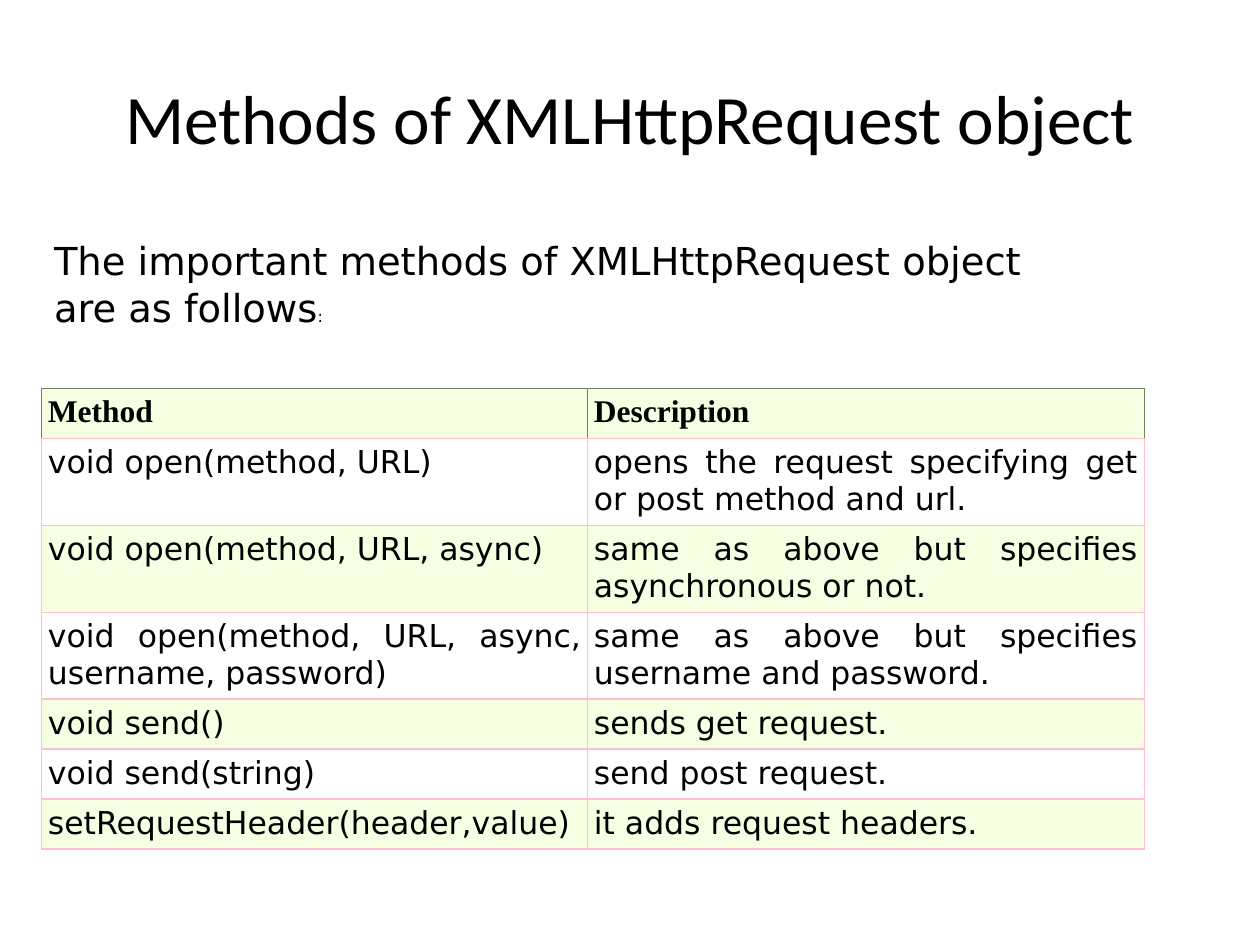
from lxml import etree
from pptx import Presentation
from pptx.dml.color import RGBColor
from pptx.enum.text import MSO_ANCHOR, PP_ALIGN
from pptx.oxml.ns import qn
from pptx.util import Pt

MIDDLE = MSO_ANCHOR.MIDDLE
LEFT, CENTER, JUSTIFY = PP_ALIGN.LEFT, PP_ALIGN.CENTER, PP_ALIGN.JUSTIFY
BLACK, WHITE, LIME, PINK, GREEN = "000000", "FFFFFF", "F6FFE1", "FFC0CB", "708459"
SANS, SERIF = "DejaVu Sans", "Times New Roman"

ROWS = [
    ("Method", "Description"),
    ("void open(method, URL)", "opens the request specifying get or post method and url."),
    ("void open(method, URL, async)", "same as above but specifies asynchronous or not."),
    ("void open(method, URL, async, username, password)",
     "same as above but specifies username and password."),
    ("void send()", "sends get request."),
    ("void send(string)", "send post request."),
    ("setRequestHeader(header,value)", "it adds request headers."),
]
COLS = [312, 318]
SHORT, TALL = 28.6, 49.7
HEIGHTS = [SHORT] + [TALL] * 3 + [SHORT] * 3


def color(code):
    return RGBColor.from_string(code)


def style(para, font, size, align, bold=False):
    para.alignment = align
    for run in para.runs:
        run.font.name = font
        run.font.size = Pt(size)
        run.font.bold = bold
        run.font.color.rgb = color(BLACK)


def place(shape, left, top, width, height):
    shape.left, shape.top = Pt(left), Pt(top)
    shape.width, shape.height = Pt(width), Pt(height)


def add_title(slide, text):
    title = slide.shapes.title
    place(title, 36, 21.6, 648, 90)
    title.text_frame.text = text
    title.text_frame.vertical_anchor = MIDDLE
    style(title.text_frame.paragraphs[0], "Calibri", 39.6, CENTER)


def add_intro(slide):
    box = slide.shapes.add_textbox(Pt(23.8), Pt(131.8), Pt(582), Pt(60.5))
    frame = box.text_frame
    frame.word_wrap = True
    frame.vertical_anchor = MIDDLE
    frame.text = "The important methods of XMLHttpRequest object \nare as follows"
    last = frame.paragraphs[1]
    colon = last.add_run()
    colon.text = ":"
    for para in frame.paragraphs:
        style(para, SANS, 22, JUSTIFY)
    colon.font.size = Pt(9)


def set_edges(cell, edges):
    props = cell._tc.get_or_add_tcPr()
    for spot, (side, code) in enumerate(edges.items()):
        line = etree.Element(qn("a:ln" + side), w=str(Pt(0.75)))
        fill = etree.SubElement(line, qn("a:solidFill"))
        etree.SubElement(fill, qn("a:srgbClr"), val=code)
        props.insert(spot, line)


def fill_cell(cell, text, row):
    head = row == 0
    cell.margin_left = cell.margin_right = Pt(3.6)
    cell.margin_top = cell.margin_bottom = Pt(3.6)
    cell.fill.solid()
    cell.fill.fore_color.rgb = color(WHITE if row % 2 else LIME)
    edge = GREEN if head else PINK
    set_edges(cell, {"L": edge, "R": edge, "T": edge, "B": PINK})
    cell.text_frame.text = text
    style(cell.text_frame.paragraphs[0], SERIF if head else SANS, 18,
          LEFT if head else JUSTIFY, head)


def add_grid(slide):
    frame = slide.shapes.add_table(len(ROWS), len(COLS), Pt(23.8), Pt(221.8),
                                   Pt(sum(COLS)), Pt(sum(HEIGHTS)))
    table = frame.table
    for col, width in zip(table.columns, COLS):
        col.width = Pt(width)
    for row, height in zip(table.rows, HEIGHTS):
        row.height = Pt(height)
    for r, texts in enumerate(ROWS):
        for c, text in enumerate(texts):
            fill_cell(table.cell(r, c), text, r)


def main():
    deck = Presentation()
    deck.slide_width, deck.slide_height = Pt(720), Pt(540)
    slide = deck.slides.add_slide(deck.slide_layouts[5])
    add_title(slide, "Methods of XMLHttpRequest object")
    add_grid(slide)
    add_intro(slide)
    deck.save("out.pptx")


if __name__ == "__main__":
    main()
